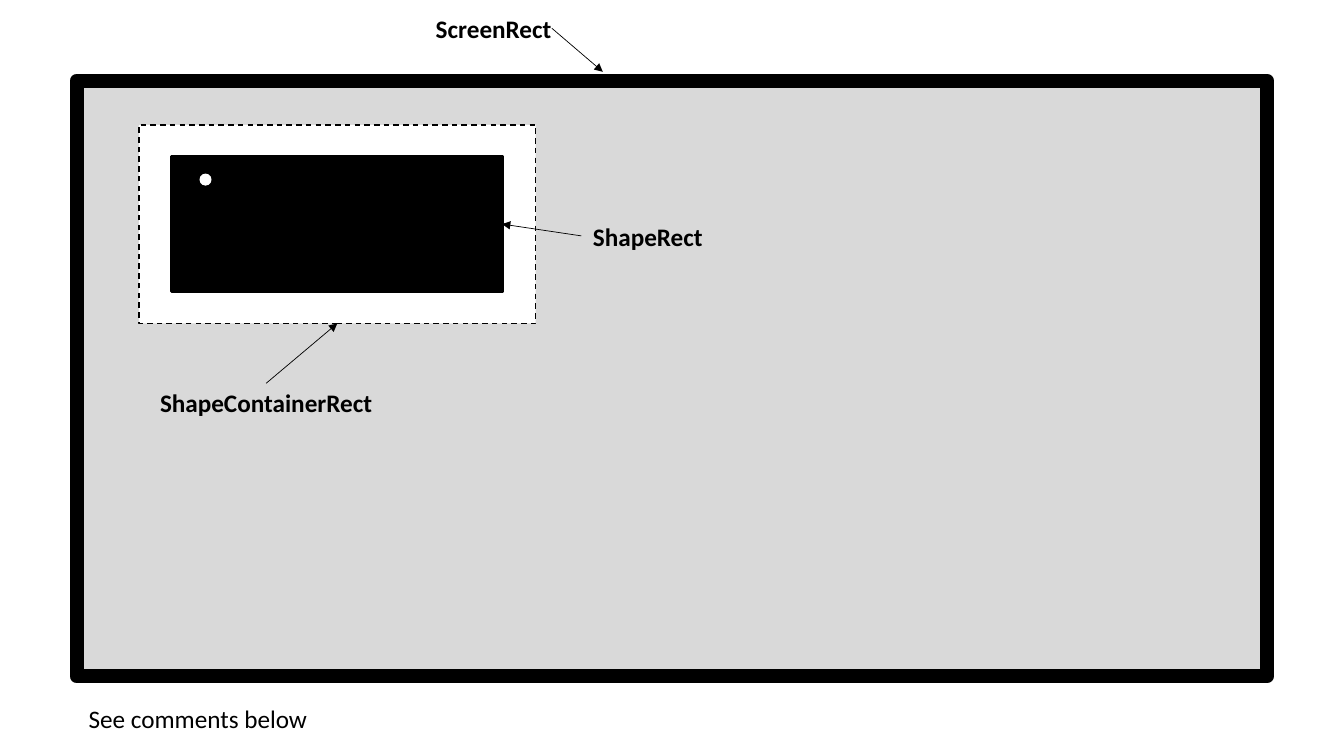
from lxml.etree import SubElement
from pptx import Presentation
from pptx.dml.color import RGBColor
from pptx.enum.dml import MSO_LINE
from pptx.enum.shapes import MSO_CONNECTOR, MSO_SHAPE
from pptx.enum.text import MSO_AUTO_SIZE, PP_ALIGN
from pptx.oxml.ns import qn
from pptx.util import Pt

BLACK = RGBColor(0x00, 0x00, 0x00)
WHITE = RGBColor(0xFF, 0xFF, 0xFF)
GREY = RGBColor(0xD9, 0xD9, 0xD9)
TOP, LEFT, BOTTOM, RIGHT = range(4)

prs = Presentation()
prs.slide_width, prs.slide_height = Pt(960), Pt(540)
slide = prs.slides.add_slide(prs.slide_layouts[6])


def add_text(text, left, top, width, height, bold=True, wrap=True, inset=0, align=PP_ALIGN.CENTER):
    box = slide.shapes.add_textbox(Pt(left), Pt(top), Pt(width), Pt(height))
    frame = box.text_frame
    frame.word_wrap = wrap
    frame.auto_size = MSO_AUTO_SIZE.SHAPE_TO_FIT_TEXT
    frame.margin_left = frame.margin_right = Pt(inset)
    frame.margin_top = frame.margin_bottom = Pt(3)
    paragraph = frame.paragraphs[0]
    paragraph.alignment = align
    run = paragraph.add_run()
    run.text = text
    run.font.name = "Calibri"
    run.font.size = Pt(18)
    run.font.bold = bold
    run.font.color.rgb = BLACK
    return box


def add_area(preset, left, top, width, height, fill, line_width=0):
    area = slide.shapes.add_shape(preset, Pt(left), Pt(top), Pt(width), Pt(height))
    area.shadow.inherit = False
    area.fill.solid()
    area.fill.fore_color.rgb = fill
    if line_width:
        area.line.color.rgb = BLACK
        area.line.width = Pt(line_width)
    else:
        area.line.fill.background()
    return area


screen = add_area(MSO_SHAPE.RECTANGLE, 54.7, 57.6, 850.4, 425.5, GREY, 10)
container = add_area(MSO_SHAPE.RECTANGLE, 99.2, 89.2, 283.5, 141.8, WHITE, 1)
container.line.dash_style = MSO_LINE.DASH
inner_shape = add_area(MSO_SHAPE.RECTANGLE, 122.4, 111.8, 236.2, 96.5, BLACK, 2.25)
dot = add_area(MSO_SHAPE.OVAL, 142.5, 124, 8.6, 8.6, WHITE)

screen_label = add_text("ScreenRect", 311, 6.5, 83.2, 27.4, wrap=False)
container_label = add_text("ShapeContainerRect", 110.2, 273.8, 159.8, 27.4)
shape_label = add_text("ShapeRect", 415.3, 154.8, 95, 27.4)
add_text("See comments below", 56.2, 499.7, 172.8, 28.8, bold=False, wrap=False,
         inset=7.2, align=PP_ALIGN.LEFT)

for label, label_side, target, target_side in [
    (screen_label, RIGHT, None, None),
    (container_label, TOP, container, BOTTOM),
    (shape_label, LEFT, inner_shape, RIGHT),
]:
    arrow = slide.shapes.add_connector(MSO_CONNECTOR.STRAIGHT, Pt(394), Pt(20), Pt(430.6), Pt(51.3))
    arrow.begin_connect(label, label_side)
    if target:
        arrow.end_connect(target, target_side)
    arrow.line.color.rgb = BLACK
    arrow.line.width = Pt(0.5)
    SubElement(arrow.line._get_or_add_ln(), qn("a:tailEnd"), type="triangle")
    SubElement(arrow._element.spPr, qn("a:effectLst"))

prs.save("out.pptx")
